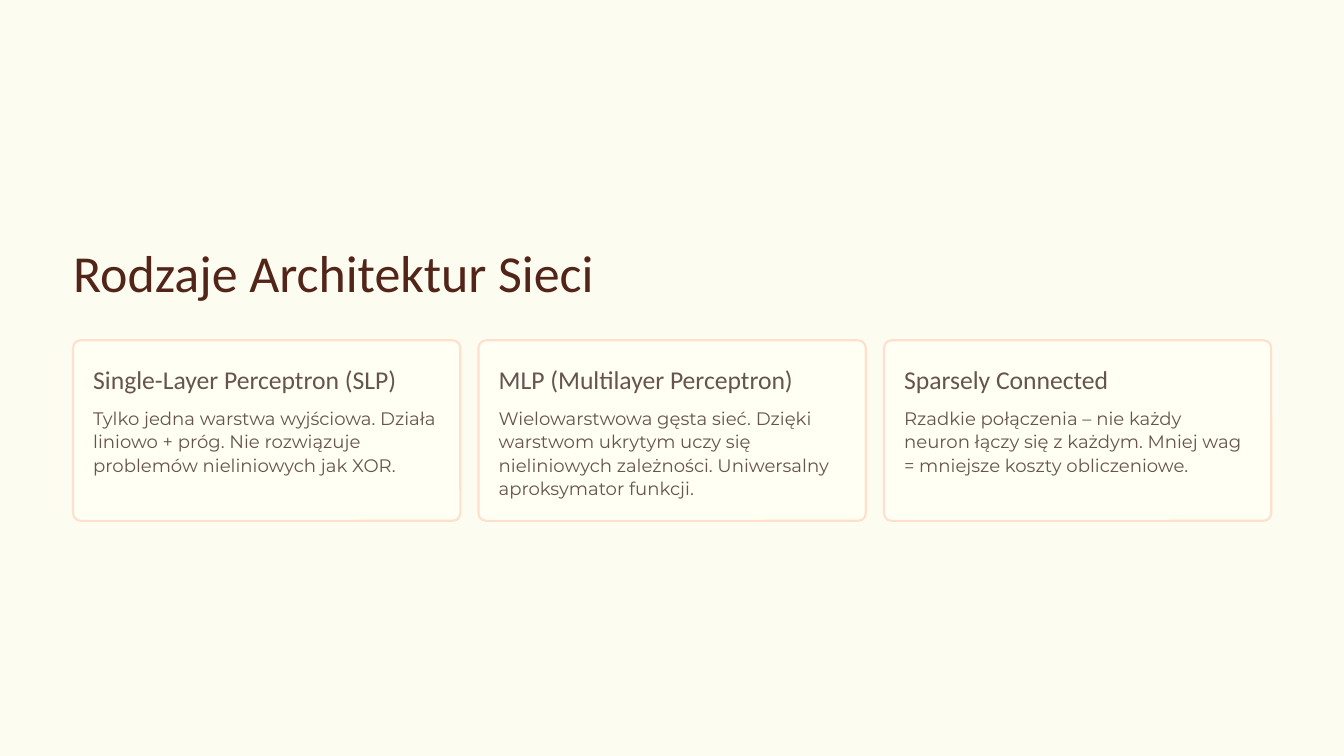
from pptx import Presentation
from pptx.dml.color import RGBColor
from pptx.enum import shapes, text
from pptx.util import Cm, Pt

TITLE = "Rodzaje Architektur Sieci"
CARDS = [
    ("Single-Layer Perceptron (SLP)",
     "Tylko jedna warstwa wyjściowa. Działa liniowo + próg. "
     "Nie rozwiązuje problemów nieliniowych jak XOR."),
    ("MLP (Multilayer Perceptron)",
     "Wielowarstwowa gęsta sieć. Dzięki warstwom ukrytym uczy się "
     "nieliniowych zależności. Uniwersalny aproksymator funkcji."),
    ("Sparsely Connected",
     "Rzadkie połączenia – nie każdy neuron łączy się z każdym. "
     "Mniej wag = mniejsze koszty obliczeniowe."),
]


class Theme:
    background = RGBColor.from_string("FDFCF0")
    card = RGBColor.from_string("FFFFF4")
    border = RGBColor.from_string("FFE0CC")
    border_width = Pt(1.8)
    dark = RGBColor.from_string("532418")
    soft = RGBColor.from_string("67534F")
    title = dict(name="Calibri", size=Pt(44.5), color=dark, leading=Pt(58))
    heading = dict(name="Calibri", size=Pt(22), color=soft, leading=Pt(29))
    body = dict(name="Montserrat", size=Pt(15.5), color=soft, leading=Pt(20))


MARGIN = 2.21
CARD_TOP, CARD_WIDTH, CARD_HEIGHT = 10.29, 11.71, 5.46
PITCH = 12.26
INSET = 0.61
HEADING_TOP, HEADING_HEIGHT = 10.9, 1.04
BODY_TOP, BODY_HEIGHT = 12.27, 2.87
TEXT_WIDTH = 10.49


def write(box, content, style, wrap):
    frame = box.text_frame
    frame_format = dict(
        margin_left=0, margin_top=0, margin_right=0, margin_bottom=0,
        word_wrap=wrap, auto_size=text.MSO_AUTO_SIZE.NONE,
        vertical_anchor=text.MSO_ANCHOR.TOP,
    )
    for name, value in frame_format.items():
        setattr(frame, name, value)
    para = frame.paragraphs[0]
    para.alignment = text.PP_ALIGN.LEFT
    para.line_spacing = style["leading"]
    span = para.add_run()
    span.text = content
    for name in ("name", "size"):
        setattr(span.font, name, style[name])
    span.font.color.rgb = style["color"]


def add_card(page, left, heading, body):
    card = page.shapes.add_shape(
        shapes.MSO_SHAPE.ROUNDED_RECTANGLE,
        Cm(left), Cm(CARD_TOP), Cm(CARD_WIDTH), Cm(CARD_HEIGHT))
    card.adjustments[0] = 0.042
    card.shadow.inherit = False
    card.fill.solid()
    card.fill.fore_color.rgb = Theme.card
    card.line.color.rgb = Theme.border
    card.line.width = Theme.border_width
    for content, top, height, style, wrap in (
        (heading, HEADING_TOP, HEADING_HEIGHT, Theme.heading, False),
        (body, BODY_TOP, BODY_HEIGHT, Theme.body, True),
    ):
        box = page.shapes.add_textbox(
            Cm(left + INSET), Cm(top), Cm(TEXT_WIDTH), Cm(height))
        write(box, content, style, wrap)


def main():
    deck = Presentation()
    deck.slide_width, deck.slide_height = Cm(40.64), Cm(22.86)
    page = deck.slides.add_slide(deck.slide_layouts[5])
    page.background.fill.solid()
    page.background.fill.fore_color.rgb = Theme.background

    title = page.shapes.title
    place = dict(left=Cm(MARGIN), top=Cm(7.11), width=Cm(17.88), height=Cm(2.06))
    for name, value in place.items():
        setattr(title, name, value)
    write(title, TITLE, Theme.title, False)

    for index, (heading, body) in enumerate(CARDS):
        add_card(page, MARGIN + index * PITCH, heading, body)
    deck.save("out.pptx")


if __name__ == "__main__":
    main()
